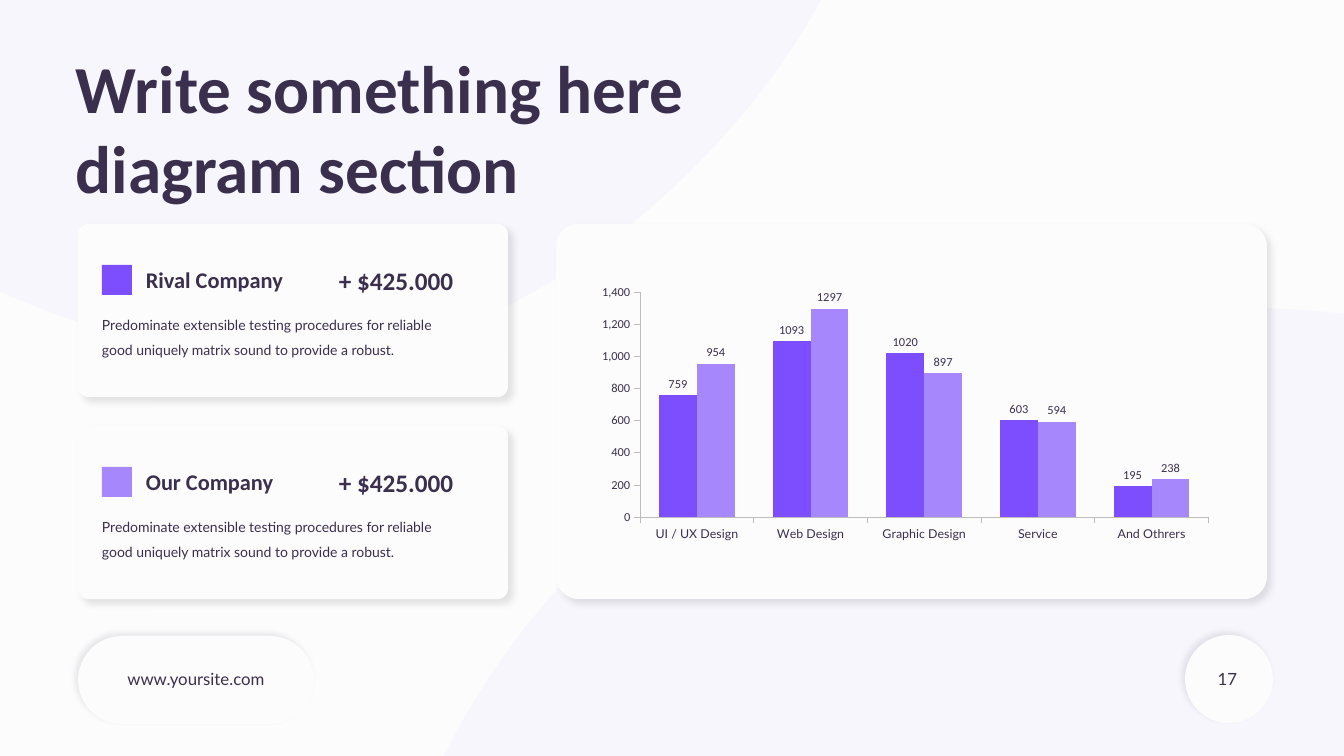
import lxml.etree
import pptx
import pptx.chart.data
import pptx.dml.color
import pptx.enum.chart
import pptx.enum.shapes
import pptx.enum.text
import pptx.oxml
import pptx.oxml.ns
import pptx.util

RGB = pptx.dml.color.RGBColor
PAPER = RGB(0xFC, 0xFC, 0xFC)
INK = RGB(0x3B, 0x2F, 0x4E)
BLACK = RGB(0, 0, 0)
VIOLET = RGB(0x7C, 0x4E, 0xFD)
LILAC = RGB(0xA6, 0x88, 0xFC)
GREY = RGB(0xBD, 0xBD, 0xBD)

SHAPE = pptx.enum.shapes.MSO_SHAPE
ALIGN = pptx.enum.text.PP_ALIGN
MIDDLE = pptx.enum.text.MSO_ANCHOR.MIDDLE
GROW = pptx.enum.text.MSO_AUTO_SIZE.SHAPE_TO_FIT_TEXT
CHART = pptx.enum.chart
qn = pptx.oxml.ns.qn

# Content
TITLE = "Write something here\vdiagram section"
SITE = "www.yoursite.com"
PAGE = "17"
BODY = ("Predominate extensible testing procedures for reliable "
        "good uniquely matrix sound to provide a robust.")
CARDS = [
    ("Rival Company", "+ $425.000", BODY, VIOLET),
    ("Our Company", "+ $425.000", BODY, LILAC),
]
GROUPS = ["UI / UX Design", "Web Design", "Graphic Design", "Service", "And Othrers"]
SERIES = [
    ("Series 1", (759, 1093, 1020, 603, 195), VIOLET),
    ("Series 2", (954, 1297, 897, 594, 238), LILAC),
]

# Sizes in px, 100.8 to the inch
WIDE, HIGH = 1344, 756
SCALE = 914400 / 100.8
CARD_X, CARD_Y, CARD_W, CARD_H, STEP = 78, 224, 430, 173, 202
FOOT_Y, FOOT_H = 635, 88

# Each blob: its box, then start point and Bezier points of the outline
BLOBS = [
    ((-694, -499, 1561, 859),
     [(859, -224), (913, -60), (723, 185), (530, 294),
      (337, 402), (142, 375), (-125, 231),
      (-393, 89), (-733, -171), (-688, -323),
      (-646, -474), (-218, -514), (145, -494),
      (508, -472), (805, -388), (859, -224)]),
    ((354, 307, 1656, 1483),
     [(1996, 703), (2073, 953), (1843, 1290), (1527, 1522),
      (1212, 1754), (812, 1877), (582, 1721),
      (353, 1564), (294, 1129), (416, 818),
      (538, 508), (843, 323), (1187, 308),
      (1532, 295), (1919, 455), (1996, 703)]),
]


def emu(*sizes):
    return [round(size * SCALE) for size in sizes]


deck = pptx.Presentation()
deck.slide_width, deck.slide_height = emu(WIDE, HIGH)
slide = deck.slides.add_slide(deck.slide_layouts[6])
slide.background.fill.solid()
slide.background.fill.fore_color.rgb = PAPER


def paint(shape, color):
    shape.shadow.inherit = False
    shape.fill.solid()
    shape.fill.fore_color.rgb = color
    shape.line.fill.background()


def blob(box, knots):
    left, top, width, height = box
    pen = slide.shapes.build_freeform(left, top, scale=SCALE)
    pen.add_line_segments([(left + width, top), (left + width, top + height),
                           (left, top + height)], close=True)
    shape = pen.convert_to_shape()
    paint(shape, VIOLET)
    tint = shape.fill._xPr.find(".//" + qn("a:srgbClr"))
    lxml.etree.SubElement(tint, qn("a:alpha"), val="3000")

    # Swap the straight sides for curves
    route = shape._element.spPr.find(".//" + qn("a:path"))
    for side in list(route):
        route.remove(side)
    parts = [("a:moveTo", knots[:1])]
    parts += [("a:cubicBezTo", knots[i:i + 3]) for i in range(1, len(knots), 3)]
    parts.append(("a:close", []))
    for tag, dots in parts:
        part = lxml.etree.SubElement(route, qn(tag))
        for x, y in dots:
            lxml.etree.SubElement(part, qn("a:pt"), x=str(x - left), y=str(y - top))
    # Local units are px
    route.set("w", str(width))
    route.set("h", str(height))


def panel(kind, box, round_by=None, shade=BLACK, blur=5, dist=5, angle=45):
    shape = slide.shapes.add_shape(kind, *emu(*box))
    paint(shape, PAPER)
    if round_by is not None:
        shape.adjustments[0] = round_by
    effects = shape._element.spPr.find(qn("a:effectLst"))
    effects.append(pptx.oxml.parse_xml(
        f'<a:outerShdw {pptx.oxml.ns.nsdecls("a")} blurRad="{blur * 12700}" '
        f'dist="{dist * 12700}" dir="{angle * 60000}" algn="ctr" rotWithShape="0">'
        f'<a:srgbClr val="{shade}"><a:alpha val="10000"/></a:srgbClr></a:outerShdw>'))


def label(text, box, size, face, bold=False, align=None, inset=True,
          wrap=True, anchor=None, lead=None):
    frame = slide.shapes.add_textbox(*emu(*box)).text_frame
    frame.word_wrap = wrap
    if anchor is None:
        frame.auto_size = GROW
    else:
        frame.vertical_anchor = anchor
    if not inset:
        frame.margin_left = frame.margin_right = 0
        frame.margin_top = frame.margin_bottom = 0
    frame.text = text
    para = frame.paragraphs[0]
    para.alignment = align
    para.line_spacing = lead
    for run in para.runs:
        style(run.font, size, face)
        run.font.bold = bold


def style(font, size, face):
    font.size = pptx.util.Pt(size)
    font.name = face
    font.color.rgb = INK


# Background
for box, knots in BLOBS:
    blob(box, knots)

# Footer
glow = dict(shade=INK, blur=4, dist=3, angle=225)
panel(SHAPE.OVAL, (1185, FOOT_Y, FOOT_H, FOOT_H), **glow)
label(PAGE, (945, 659, 302, 40), 12, "Lato", align=ALIGN.RIGHT, anchor=MIDDLE)
panel(SHAPE.ROUNDED_RECTANGLE, (CARD_X, FOOT_Y + 1, 236, FOOT_H), 0.5, **glow)
label(SITE, (116, 664, 160, 30), 12, "Lato", align=ALIGN.CENTER, wrap=False)

# Title
label(TITLE, (66, 41, 956, 173), 48, "Calibri", bold=True)

# Company cards
for i, (name, gain, body, color) in enumerate(CARDS):
    top = CARD_Y + i * STEP
    left = CARD_X + 24
    panel(SHAPE.ROUNDED_RECTANGLE, (CARD_X, top, CARD_W, CARD_H), 0.06)
    label(gain, (left + 237, top + 41, 161, 30), 18, "Calibri", bold=True, inset=False)
    paint(slide.shapes.add_shape(SHAPE.RECTANGLE, *emu(left, top + 41, 30, 30)), color)
    label(name, (left + 44, top + 42, 185, 27), 16, "Calibri", bold=True, inset=False)
    label(body, (left, top + 84, 350, 48), 10, "Lato", inset=False, lead=1.5)

# Chart card
panel(SHAPE.ROUNDED_RECTANGLE, (556, CARD_Y, 711, CARD_H + STEP), 0.06)
data = pptx.chart.data.CategoryChartData()
data.categories = GROUPS
for name, values, _ in SERIES:
    data.add_series(name, values)
chart = slide.shapes.add_chart(
    CHART.XL_CHART_TYPE.COLUMN_CLUSTERED, *emu(602, 285, 607, 257), data).chart
chart.has_legend = chart.has_title = False
style(chart.font, 18, "Lato")

plot = chart.plots[0]
plot.gap_width, plot.overlap = 100, 0
plot.vary_by_categories = False
for bars, (_, _, color) in zip(plot.series, SERIES):
    bars.format.fill.solid()
    bars.format.fill.fore_color.rgb = color
    tags = bars.data_labels
    tags.show_value = True
    tags.position = CHART.XL_LABEL_POSITION.OUTSIDE_END
    style(tags.font, 9, "Calibri")

for axis, face in ((chart.category_axis, "Lato"), (chart.value_axis, "Calibri")):
    axis.has_major_gridlines = False
    axis.major_tick_mark = CHART.XL_TICK_MARK.OUTSIDE
    axis.format.line.color.rgb = GREY
    axis.format.line.width = pptx.util.Pt(0.75)
    style(axis.tick_labels.font, 9, face)
marks = chart.value_axis.tick_labels
marks.number_format = "#,##0"
marks.number_format_is_linked = False

# Plot area placement
area = chart._chartSpace.chart.plotArea
for old in area.findall(qn("c:layout")):
    area.remove(old)
area.insert(0, pptx.oxml.parse_xml(
    f'<c:layout {pptx.oxml.ns.nsdecls("c")}><c:manualLayout>'
    '<c:layoutTarget val="inner"/><c:xMode val="edge"/><c:yMode val="edge"/>'
    '<c:x val="0.05"/><c:y val="0"/><c:w val="0.95"/><c:h val="0.91"/>'
    '</c:manualLayout></c:layout>'))

deck.save("out.pptx")
